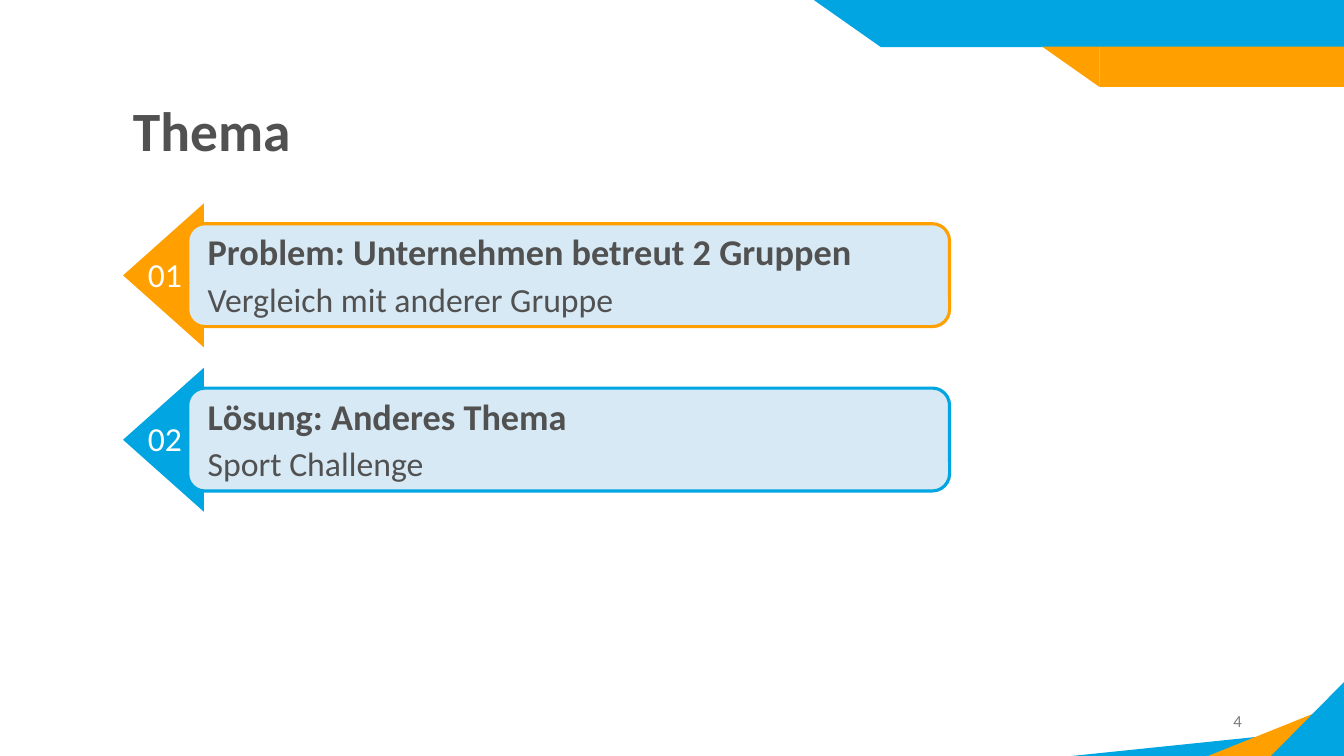
from dataclasses import dataclass
from typing import Optional

from lxml.etree import SubElement
from pptx import Presentation
from pptx.dml.color import RGBColor
from pptx.enum.shapes import MSO_SHAPE as Preset
from pptx.enum.text import MSO_ANCHOR as Anchor, MSO_AUTO_SIZE as AutoSize, PP_ALIGN as Align
from pptx.oxml.ns import qn
from pptx.util import Pt

BLUE = RGBColor(0x00, 0xA5, 0xE1)
ORANGE = RGBColor(0xFF, 0x9F, 0x00)
PALE_BLUE = RGBColor(0xD7, 0xE9, 0xF4)
DARK_GREY = RGBColor(0x51, 0x51, 0x51)
MID_GREY = RGBColor(0x7A, 0x7A, 0x7A)
WHITE = RGBColor(0xFF, 0xFF, 0xFF)
FONT = "Calibri"
TWO_CONTENT_LAYOUT = 3
CARD_PITCH = 117.4


@dataclass(frozen=True)
class Box:
    """A frame in points."""
    left: float
    top: float
    width: float
    height: float

    def down(self, distance: float) -> "Box":
        """Return the same frame, moved down."""
        return Box(self.left, self.top + distance, self.width, self.height)


@dataclass(frozen=True)
class Figure:
    """A preset shape with its look."""
    preset: Preset
    box: Box
    fill: RGBColor
    outline: Optional[RGBColor] = None
    adjustment: Optional[float] = None
    rotation: float = 0


@dataclass(frozen=True)
class Line:
    """One paragraph and its format."""
    text: str
    size: float
    color: RGBColor = DARK_GREY
    bold: bool = False
    align: Align = Align.LEFT
    spacing: float = 1.0
    before: float = 0


@dataclass(frozen=True)
class Card:
    """A numbered statement."""
    number: str
    heading: str
    detail: str
    accent: RGBColor


def corner(box: Box, fill: RGBColor, adjustment: float, rotation: float = 0) -> Figure:
    """Describe a right-angled decoration triangle."""
    return Figure(Preset.ISOSCELES_TRIANGLE, box, fill, None, adjustment, rotation)


def banner(left: float, top: float, height: float, slant: float, fill: RGBColor) -> list[Figure]:
    """Describe a bar reaching the right edge, with a slanted left end."""
    return [
        Figure(Preset.RECTANGLE, Box(left, top, 961 - left, height), fill),
        corner(Box(left - slant, top, slant, height), fill, 0, 180),
    ]


DECORATIONS = [
    corner(Box(765.4, 519.8, 195.8, 20.2), BLUE, 1),
    *banner(629.3, -0.7, 34.4, 49, BLUE),
    *banner(785.5, 33.4, 28.8, 41, ORANGE),
    corner(Box(861.1, 501.1, 98.6, 39.6), ORANGE, 1),
    corner(Box(907.2, 486, 54, 54.7), BLUE, 1),
]

CARDS = [
    Card("01", "Problem: Unternehmen\u00a0betreut 2 Gruppen",
         "Vergleich mit anderer Gruppe", ORANGE),
    Card("02", "Lösung: Anderes Thema", "Sport Challenge", BLUE),
]


def place(shape, box: Box) -> None:
    """Move and size a shape."""
    for name in ("left", "top", "width", "height"):
        setattr(shape, name, Pt(getattr(box, name)))


def draw_figure(slide, figure: Figure) -> None:
    """Draw a preset shape."""
    box = figure.box
    shape = slide.shapes.add_shape(
        figure.preset, Pt(box.left), Pt(box.top), Pt(box.width), Pt(box.height))
    shape.shadow.inherit = False
    shape.rotation = figure.rotation
    shape.fill.solid()
    shape.fill.fore_color.rgb = figure.fill
    if figure.adjustment is not None:
        shape.adjustments[0] = figure.adjustment
    if figure.outline is None:
        shape.line.fill.background()
    else:
        shape.line.color.rgb = figure.outline
        shape.line.width = Pt(2.25)


def write(shape, lines: list[Line], anchor: Anchor = Anchor.TOP, wrap: bool = True) -> None:
    """Fill a shape with formatted paragraphs."""
    frame = shape.text_frame
    frame.auto_size = AutoSize.NONE
    frame.word_wrap = wrap
    frame.vertical_anchor = anchor
    frame.text = "\n".join(line.text for line in lines)
    for paragraph, line in zip(frame.paragraphs, lines):
        layout = {"alignment": line.align, "line_spacing": line.spacing,
                  "space_before": Pt(line.before)}
        for name, value in layout.items():
            setattr(paragraph, name, value)
        font = paragraph.runs[0].font
        for name, value in {"name": FONT, "size": Pt(line.size), "bold": line.bold}.items():
            setattr(font, name, value)
        font.color.rgb = line.color


def remove_bullets(shape) -> None:
    """Turn off bullets and hanging indents."""
    for paragraph in shape.text_frame.paragraphs:
        properties = paragraph.runs[0]._r.getparent().get_or_add_pPr()
        properties.set("marL", "0")
        properties.set("indent", "0")
        SubElement(properties, qn("a:buNone"))


def bring_to_front(shape) -> None:
    """Put a shape above all others."""
    shape.element.getparent().append(shape.element)


def add_text(slide, box: Box, line: Line, anchor: Anchor = Anchor.TOP, wrap: bool = True) -> None:
    """Add a one-line text box."""
    shape = slide.shapes.add_textbox(
        Pt(box.left), Pt(box.top), Pt(box.width), Pt(box.height))
    write(shape, [line], anchor, wrap)


def draw_card(slide, card: Card, body, offset: float) -> None:
    """Draw the arrow, panel, number and text of one card."""
    draw_figure(slide, Figure(Preset.ISOSCELES_TRIANGLE, Box(65.3, 167.8, 103, 57.8).down(offset),
                              card.accent, rotation=270))
    draw_figure(slide, Figure(Preset.ROUNDED_RECTANGLE, Box(134.1, 159.8, 544.2, 73.5).down(offset),
                              PALE_BLUE, card.accent))
    place(body, Box(141.1, 166.3, 537.1, 67.7).down(offset))
    write(body, [Line(card.heading, 25.9, bold=True, spacing=0.8, before=10),
                 Line(card.detail, 24.1, spacing=0.8, before=10)])
    remove_bullets(body)
    bring_to_front(body)
    add_text(slide, Box(98.6, 177.8, 39.6, 36).down(offset),
             Line(card.number, 24, WHITE), wrap=False)


def main() -> None:
    """Build and save the slide."""
    presentation = Presentation()
    presentation.slide_width, presentation.slide_height = Pt(960), Pt(540)
    slide = presentation.slides.add_slide(presentation.slide_layouts[TWO_CONTENT_LAYOUT])
    title, *bodies = slide.placeholders
    for figure in DECORATIONS:
        draw_figure(slide, figure)
    place(title, Box(87.8, 70.6, 653, 49.7))
    write(title, [Line("Thema", 39.6, bold=True, spacing=0.9)], Anchor.MIDDLE)
    for index, (card, body) in enumerate(zip(CARDS, bodies)):
        draw_card(slide, card, body, index * CARD_PITCH)
    add_text(slide, Box(678.2, 500.4, 216, 28.8),
             Line("4", 12, MID_GREY, align=Align.RIGHT), Anchor.MIDDLE)
    presentation.save("out.pptx")


main()
